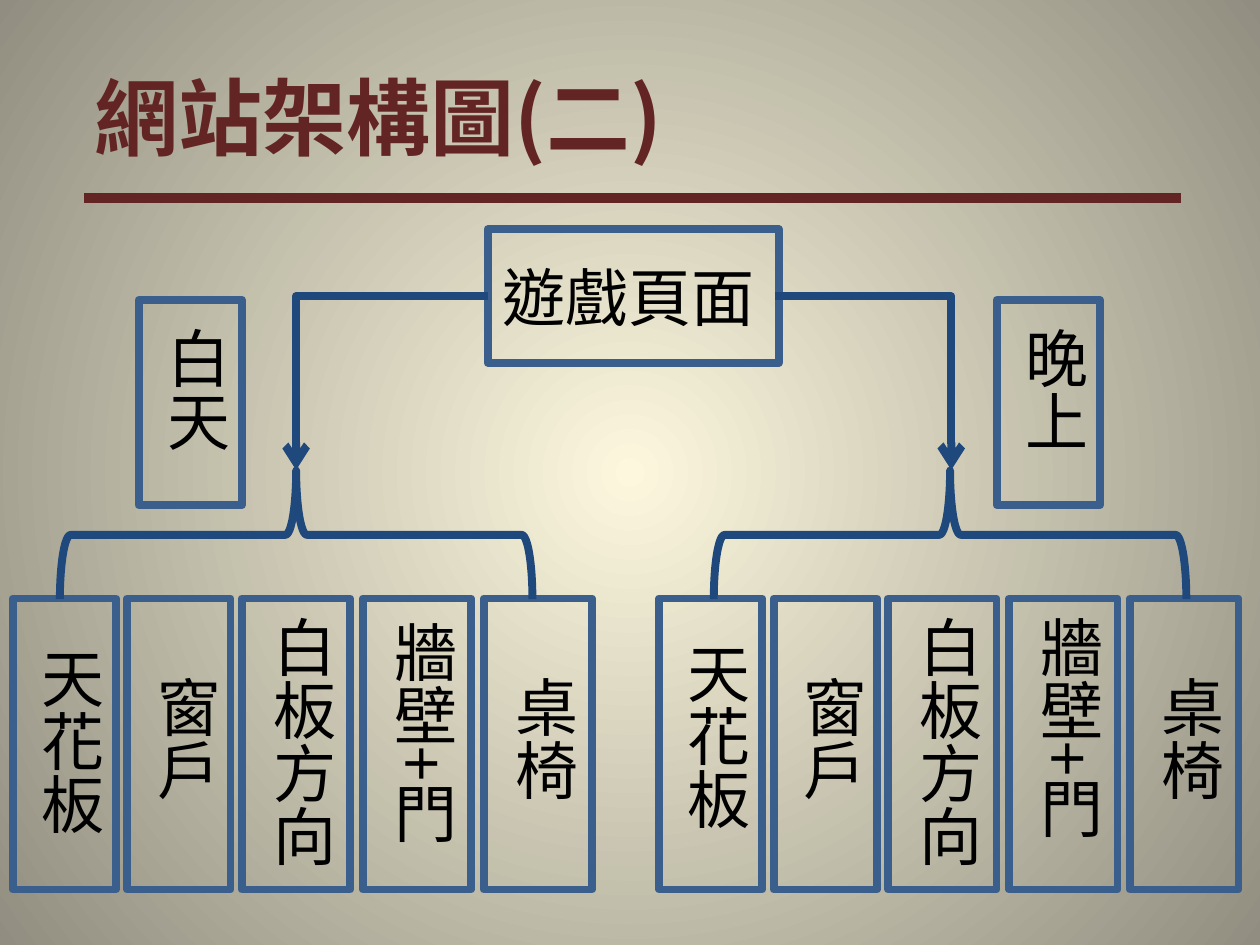
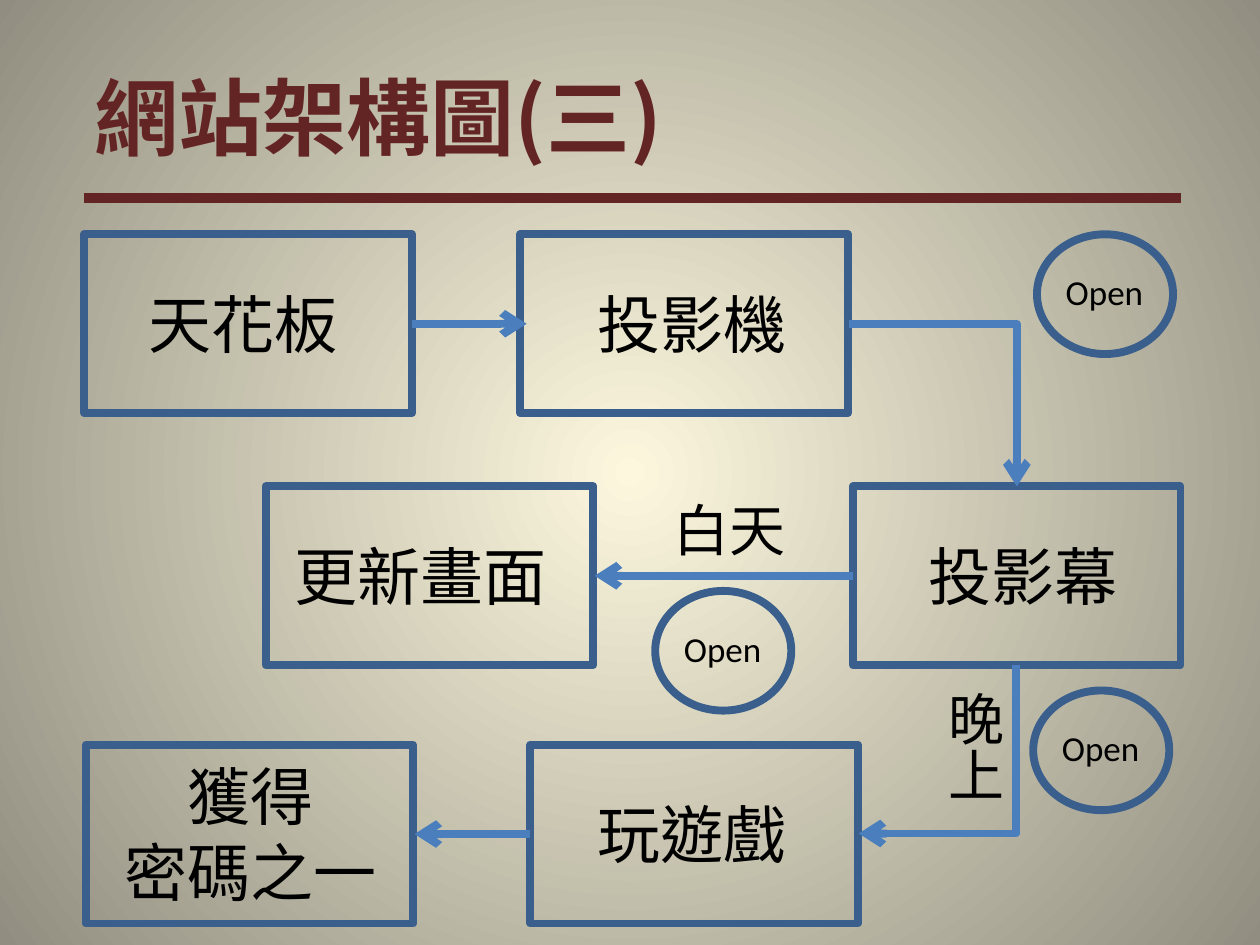
import pptx
import pptx.dml.color
import pptx.enum.lang
import pptx.enum.shapes
import pptx.enum.text
import pptx.oxml
import pptx.oxml.ns
import pptx.util
from lxml import etree

COLOURS = {
    "glow": "FCF7DD",
    "edge": "918E81",
    "title": "632523",
    "frame": "3A5F8C",
    "tree": "1F497D",
    "flow": "4B7EBC",
    "text": "000000",
}
CJK = "Noto Sans CJK SC"
LATIN = "Calibri"
COLUMNS, ROWS = 10, 7.5
CELL = pptx.util.Inches(1)
STROKE = 4.5

SHAPES = pptx.enum.shapes.MSO_SHAPE
CONNECTORS = pptx.enum.shapes.MSO_CONNECTOR
CENTER = pptx.enum.text.PP_ALIGN.CENTER
LEFT = pptx.enum.text.PP_ALIGN.LEFT
qn = pptx.oxml.ns.qn

# Site tree: each item has a left edge, a width, a label's left edge and its text
ITEMS = [
    (0.1, 0.82, 0.1, "天花板"),
    (1.01, 0.82, 1.02, "窗戶"),
    (1.92, 0.86, 1.94, "白板方向"),
    (2.88, 0.86, 2.9, "牆壁+門"),
    (3.84, 0.86, 3.86, "桌椅"),
]
ITEM_LABEL_ROWS = {2: 1.27, 3: 1.81, 4: 2.23}
ITEM_TOP, ITEM_ROWS = 4.75, 2.31
BRANCH_STEP = 5.13

# Game flow: each step has a left edge, a top edge, a label's left edge and its lines
STEP_COLUMNS, STEP_ROWS = 2.6, 1.42
STEPS = [
    (0.67, 1.86, 0.68, ["天花板"]),
    (4.13, 1.86, 4.19, [" 投影機"]),
    (6.77, 3.86, 6.82, [" 投影幕"]),
    (2.11, 3.86, 2.09, ["更新畫面"]),
    (4.21, 5.91, 4.19, [" 玩遊戲"]),
    (0.68, 5.91, 0.74, ["獲得", "密碼之一"]),
]
OPEN_BADGES = [(8.23, 1.86), (5.2, 4.69), (8.2, 5.48)]


def grid(*cells):
    return [round(cell * CELL) for cell in cells]


def rgb(name):
    return pptx.dml.color.RGBColor.from_string(COLOURS[name])


def set_background(master):
    """Give every slide a round glow that darkens towards the corners."""
    fill = master.background.fill
    fill.gradient()
    for stop, name in zip(fill.gradient_stops, ("glow", "edge")):
        stop.color.rgb = rgb(name)
    gradient = master.element.find(".//" + qn("a:gradFill"))
    gradient.remove(gradient.find(qn("a:lin")))
    circle = etree.SubElement(gradient, qn("a:path"), path="circle")
    middle = dict.fromkeys("ltrb", "50000")
    etree.SubElement(circle, qn("a:fillToRect"), middle)


def write(frame, lines, size, font=CJK, colour="text", bold=False, align=LEFT):
    for number, line in enumerate(lines):
        para = frame.paragraphs[0] if number == 0 else frame.add_paragraph()
        para.alignment = align
        span = para.add_run()
        span.text = line
        span.font.size = pptx.util.Pt(size)
        span.font.name = font
        span.font.bold = bold
        span.font.color.rgb = rgb(colour)
        if font == CJK:
            span.font.language_id = pptx.enum.lang.MSO_LANGUAGE_ID.TRADITIONAL_CHINESE
            latin = span._r.rPr.find(qn("a:latin"))
            latin.addnext(latin.makeelement(qn("a:ea"), {"typeface": font}))


def add_label(slide, place, lines, size=36, vertical=False, **style):
    box = slide.shapes.add_textbox(*grid(*place))
    frame = box.text_frame
    frame.word_wrap = True
    frame.auto_size = pptx.enum.text.MSO_AUTO_SIZE.SHAPE_TO_FIT_TEXT
    if vertical:
        frame._txBody.bodyPr.set("vert", "eaVert")
    write(frame, lines, size, **style)


def add_outline(slide, kind, place, colour="frame", turn=0):
    shape = slide.shapes.add_shape(kind, *grid(*place))
    shape.shadow.inherit = False
    shape.fill.background()
    shape.line.color.rgb = rgb(colour)
    shape.line.width = pptx.util.Pt(STROKE)
    shape.rotation = turn


def add_line(slide, start, end, colour, width=STROKE, arrow=True,
             kind=CONNECTORS.STRAIGHT):
    line = slide.shapes.add_connector(kind, *grid(*start, *end))
    line.line.color.rgb = rgb(colour)
    line.line.width = pptx.util.Pt(width)
    if arrow:
        etree.SubElement(line.line._get_or_add_ln(), qn("a:tailEnd"), type="arrow")
    etree.SubElement(line._element.spPr, qn("a:effectLst"))
    return line


def add_bend(slide, place, colour, turn=0, flip=False):
    """Add an arrow with one corner, turned by degrees within its place."""
    left, top, width, height = place
    bend = add_line(slide, (left, top), (left + width, top + height), colour,
                    kind=CONNECTORS.ELBOW)
    properties = bend._element.spPr
    properties.find(qn("a:prstGeom")).set("prst", "bentConnector2")
    frame = properties.find(qn("a:xfrm"))
    if turn:
        frame.set("rot", str(turn * 60000))
    if flip:
        frame.set("flipV", "1")


def add_titled_slide(deck, text):
    slide = deck.slides.add_slide(deck.slide_layouts[5])
    title = slide.shapes.title
    title.left, title.top, title.width, title.height = grid(0.65, 0.47, 5.6, 0.91)
    title.text_frame.word_wrap = True
    title.text_frame.auto_size = pptx.enum.text.MSO_AUTO_SIZE.NONE
    title.text_frame.vertical_anchor = pptx.enum.text.MSO_ANCHOR.TOP
    write(title.text_frame, [text], 48, colour="title", bold=True)
    add_line(slide, (0.67, 1.57), (9.37, 1.57), "title", width=6, arrow=False)
    return slide


def add_branch(slide, shift, lowered=()):
    """Add a brace with its five items; lowered labels sit a little deeper."""
    middle = ITEM_TOP + ITEM_ROWS / 2
    for left, width, label_left, text in ITEMS:
        add_outline(slide, SHAPES.RECTANGLE,
                    (left + shift, ITEM_TOP, width, ITEM_ROWS))
        height = ITEM_LABEL_ROWS[len(text)]
        top = middle - height / 2 + (0.04 if text in lowered else 0)
        add_label(slide, (label_left + shift, top, 0.81, height), [text],
                  vertical=True)


def add_period(slide, left, text):
    add_outline(slide, SHAPES.RECTANGLE, (left, 2.38, 0.82, 1.63))
    add_label(slide, (left, 2.5, 0.81, 1.38), [text], vertical=True)


def build_site_tree(deck):
    slide = add_titled_slide(deck, "網站架構圖(二)")
    add_outline(slide, SHAPES.RECTANGLE, (3.87, 1.82, 2.31, 1.06))
    add_label(slide, (3.78, 2, 2.49, 0.71), [" 遊戲頁面"])
    add_branch(slide, 0, lowered=("天花板", "牆壁+門"))
    add_branch(slide, BRANCH_STEP)
    for left in (1.84, 7.03):
        add_outline(slide, SHAPES.LEFT_BRACE, (left, 2.37, 1.02, 3.75), "tree", 90)
    add_bend(slide, (2.35, 2.35, 1.52, 1.38), "tree", turn=180, flip=True)
    add_bend(slide, (6.15, 2.35, 1.4, 1.38), "tree")
    add_period(slide, 1.1, "白天")
    add_period(slide, 7.91, "晚上")


def build_game_flow(deck):
    slide = add_titled_slide(deck, "網站架構圖(三)")
    for left, top, label_left, lines in STEPS:
        add_outline(slide, SHAPES.RECTANGLE, (left, top, STEP_COLUMNS, STEP_ROWS))
        height = 0.11 + 0.6 * len(lines)
        label_top = top + (STEP_ROWS - height) / 2
        add_label(slide, (label_left, label_top, 2.49, height), lines, align=CENTER)

    for start, end, row in ((3.27, 4.18, 2.57), (6.77, 4.72, 4.57), (4.21, 3.29, 6.62)):
        add_line(slide, (start, row), (end, row), "flow")
    add_bend(slide, (6.74, 2.57, 1.33, 1.29), "flow")
    add_bend(slide, (6.77, 5.32, 1.34, 1.25), "flow", turn=90)

    for left, top in OPEN_BADGES:
        add_outline(slide, SHAPES.OVAL, (left, top, 1.08, 0.95))
        add_label(slide, (left + 0.13, top + 0.24, 1.1, 0.44), ["Open"], 20, font=LATIN)
    add_label(slide, (5.25, 3.88, 1.16, 0.64), ["白天"], 32)
    add_label(slide, (7.31, 5.39, 0.74, 1.13), ["晚上"], 32, vertical=True)


def main():
    deck = pptx.Presentation()
    deck.slide_width, deck.slide_height = grid(COLUMNS, ROWS)
    set_background(deck.slide_master)
    build_site_tree(deck)
    build_game_flow(deck)
    deck.save("out.pptx")


if __name__ == "__main__":
    main()
